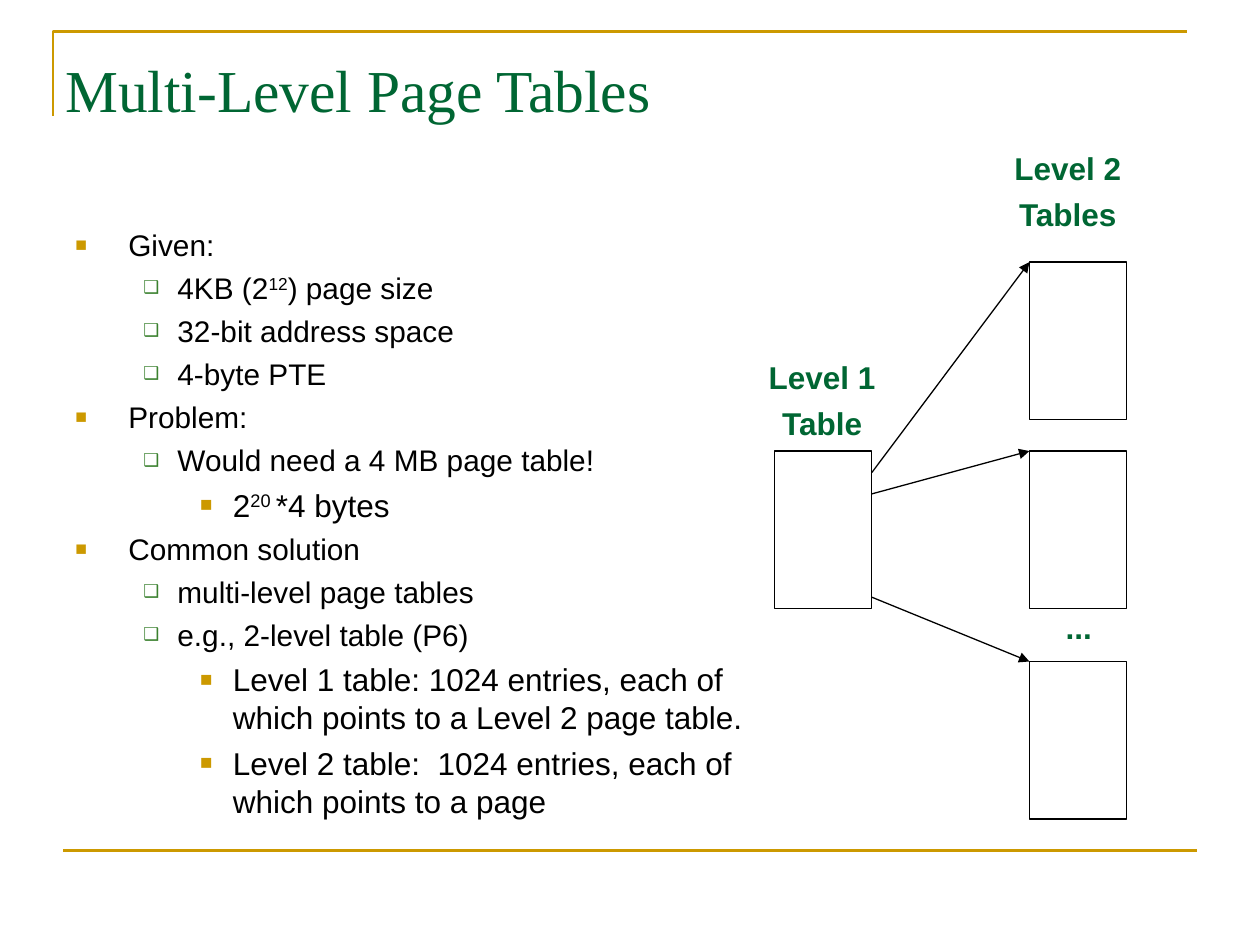
import pptx
import pptx.util
import pptx.dml.color
import pptx.enum.shapes
import pptx.enum.text
import pptx.oxml.ns
import lxml.etree

Inches = pptx.util.Inches
Pt = pptx.util.Pt
RGBColor = pptx.dml.color.RGBColor
Align = pptx.enum.text.PP_ALIGN

GOLD = RGBColor(0xCC, 0x99, 0x00)
GREEN = RGBColor(0x00, 0x66, 0x33)
LEAF = RGBColor(0x3B, 0x81, 0x2F)
BLACK = RGBColor(0, 0, 0)
WHITE = RGBColor(0xFF, 0xFF, 0xFF)

# Outline levels: indent, hanging, size, space before, bullet, colour, bullet percent
LEVELS = [
    (0.42, 0.42, 17, 4.2, "■", GOLD, 65),
    (0.81, 0.27, 17, 4.2, "❑", LEAF, 60),
    (1.25, 0.26, 18, 4.5, "■", GOLD, 65),
]

presentation = pptx.Presentation()
presentation.slide_width = Inches(10)
presentation.slide_height = Inches(7.5)
slide = presentation.slides.add_slide(presentation.slide_layouts[6])


def add_text(lines, box, size=18, font="Arial", color=GREEN, bold=False, wrap=False,
             align=Align.LEFT, spacing=1.0, before=0):
    """Add (level, text) lines; level None has no bullet, ^ marks superscript."""
    shape = slide.shapes.add_textbox(*map(Inches, box))
    frame = shape.text_frame
    frame.word_wrap = wrap
    for index, (level, text) in enumerate(lines):
        paragraph = frame.paragraphs[0] if index == 0 else frame.add_paragraph()
        line_size, space = size, before
        if level is not None:
            indent, hanging, line_size, space, bullet, bullet_color, percent = LEVELS[level]
            properties = paragraph._p.get_or_add_pPr()
            properties.set("marL", str(Inches(indent)))
            properties.set("indent", str(-Inches(hanging)))
            properties.set("lvl", str(level))
            for xml in (f'<a:buClr {{}}><a:srgbClr val="{bullet_color}"/></a:buClr>',
                        f'<a:buSzPct {{}} val="{percent * 1000}"/>',
                        '<a:buFont {} typeface="Arial"/>',
                        f'<a:buChar {{}} char="{bullet}"/>'):
                namespace = pptx.oxml.ns.nsdecls("a")
                properties.append(lxml.etree.fromstring(xml.format(namespace)))
        paragraph.alignment = align
        paragraph.line_spacing = spacing
        if index:
            paragraph.space_before = Pt(space)
        for part, piece in enumerate(text.split("^")):
            run = paragraph.add_run()
            run.text = piece
            run.font.size = Pt(line_size)
            run.font.name = font
            run.font.bold = bold
            run.font.color.rgb = color
            if part % 2:
                run._r.get_or_add_rPr().set("baseline", "30000")


def add_line(start, end, color, width, arrow=False):
    """Add a straight line, with an arrowhead at its end if asked."""
    line = slide.shapes.add_connector(
        pptx.enum.shapes.MSO_CONNECTOR.STRAIGHT, *map(Inches, (*start, *end)))
    line.line.color.rgb = color
    line.line.width = Pt(width)
    if arrow:
        tail = lxml.etree.SubElement(line.line._get_or_add_ln(), pptx.oxml.ns.qn("a:tailEnd"))
        tail.set("type", "triangle")
    lxml.etree.SubElement(line._element.spPr, pptx.oxml.ns.qn("a:effectLst"))


# Frame: corner at the top (in hundredths of an inch), rule at the bottom
builder = slide.shapes.build_freeform(42, 92, scale=Inches(0.01))
builder.add_line_segments([(42, 25), (942, 25)], close=False)
corner = builder.convert_to_shape()
corner.shadow.inherit = False
corner.fill.background()
corner.line.color.rgb = GOLD
corner.line.width = Pt(1.5)
add_line((0.5, 6.75), (9.5, 6.75), GOLD, 1.5)

# Title
add_text([(None, "Multi-Level Page Tables")], (0.42, 0.37, 7.51, 0.63),
         size=34, font="Times New Roman", wrap=True)

# Outline
add_text([
    (0, "Given:"),
    (1, "4KB (2^12^) page size"),
    (1, "32-bit address space"),
    (1, "4-byte PTE"),
    (0, "Problem:"),
    (1, "Would need a 4 MB page table!"),
    (2, "2^20 ^*4 bytes"),
    (0, "Common solution"),
    (1, "multi-level page tables"),
    (1, "e.g., 2-level table (P6)"),
    (2, "Level 1 table: 1024 entries, each of which points to a Level 2 page table."),
    (2, "Level 2 table:  1024 entries, each of which points to a page"),
], (0.5, 1.75, 5.58, 4.95), color=BLACK, wrap=True)

# Page tables
LEVEL_1_LEFT, LEVEL_2_LEFT = 6.15, 8.17
TABLE_WIDTH, TABLE_HEIGHT = 0.77, 1.25
level_2_tops = [2.08, 3.58, 5.25]
for left, top in [(LEVEL_1_LEFT, 3.58)] + [(LEVEL_2_LEFT, top) for top in level_2_tops]:
    table = slide.shapes.add_shape(
        pptx.enum.shapes.MSO_SHAPE.RECTANGLE,
        *map(Inches, (left, top, TABLE_WIDTH, TABLE_HEIGHT)))
    table.shadow.inherit = False
    table.fill.solid()
    table.fill.fore_color.rgb = WHITE
    table.line.color.rgb = BLACK
    table.line.width = Pt(0.75)

# Table labels
for words, box, align in [
    (("Level 1", "Table"), (6, 2.83, 1.05, 0.73), Align.CENTER),
    (("...",), (8.36, 4.81, 0.41, 0.37), Align.LEFT),
    (("Level 2", "Tables"), (7.95, 1.17, 1.05, 0.73), Align.CENTER),
]:
    add_text([(None, word) for word in words], box, bold=True, align=align,
             spacing=0.9, before=6.8)

# Arrows from level 1 entries to the level 2 tables
for entry, top in zip((3.75, 3.92, 4.74), level_2_tops):
    add_line((LEVEL_1_LEFT + TABLE_WIDTH, entry), (LEVEL_2_LEFT, top), BLACK, 0.75, arrow=True)

presentation.save("out.pptx")
